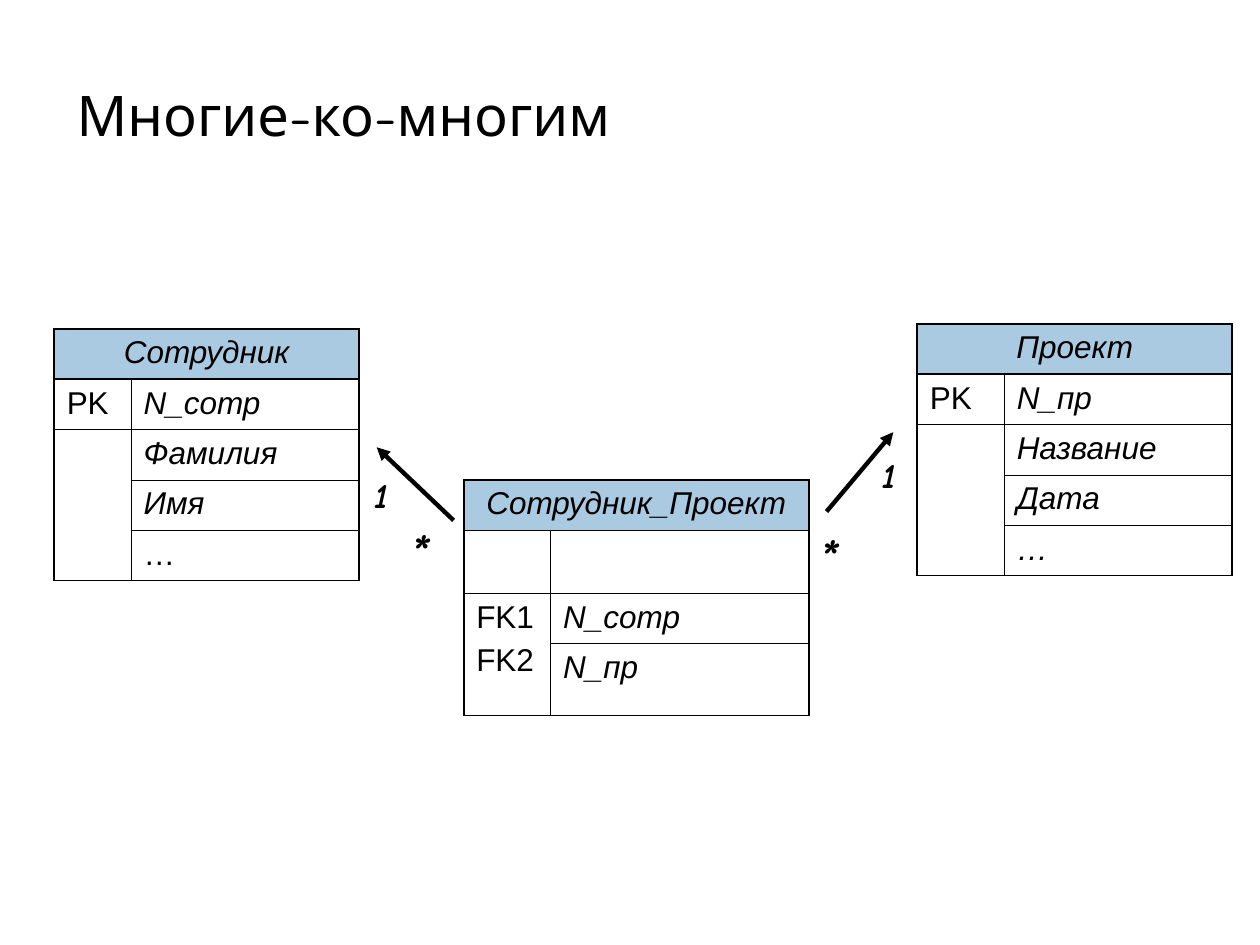
from lxml import etree
from pptx import Presentation
from pptx.dml.color import RGBColor
from pptx.enum.shapes import MSO_CONNECTOR
from pptx.enum.text import MSO_ANCHOR, MSO_AUTO_SIZE, PP_ALIGN
from pptx.oxml.ns import qn
from pptx.util import Inches, Pt

CENTER, LEFT = PP_ALIGN.CENTER, PP_ALIGN.LEFT
MIDDLE, TOP = MSO_ANCHOR.MIDDLE, MSO_ANCHOR.TOP
STRAIGHT = MSO_CONNECTOR.STRAIGHT
FIT_SHAPE, FIT_NONE = MSO_AUTO_SIZE.SHAPE_TO_FIT_TEXT, MSO_AUTO_SIZE.NONE

BLACK, HEADER_BLUE = "000000", "AACAE2"
TABLE_FONT, LABEL_FONT = "Arial", "Comic Neue"
THIN, THICK = 0.45, 1.08
ROW = 0.4

TITLE = ("Многие-ко-многим", (0.51, 0.28, 6.16, 1.25))

ENTITIES = [
    {
        "name": "Сотрудник", "at": (0.43, 2.61),
        "columns": (0.61, 1.81), "rows": [ROW] * 5, "key_start": 2,
        "keys": {1: ["PK"]},
        "fields": [("N_сотр", True), ("Фамилия", True), ("Имя", True), ("…", False)],
    },
    {
        "name": "Проект", "at": (7.28, 2.57),
        "columns": (0.69, 1.81), "rows": [ROW] * 5, "key_start": 2,
        "keys": {1: ["PK"]},
        "fields": [("N_пр", True), ("Название", True), ("Дата", True), ("…", True)],
    },
    {
        "name": "Сотрудник_Проект", "at": (3.68, 3.81),
        "columns": (0.69, 2.05), "rows": [ROW, 0.5, ROW, 0.57], "key_start": 2,
        "keys": {2: ["FK1", "FK2"]},
        "fields": [("", False), ("N_сотр", True), ("N_пр", True)],
    },
]

ARROWS = [((6.56, 4.06), (7.09, 3.43)), ((3.6, 4.13), (2.99, 3.55))]

MULTIPLICITIES = [
    ("*", 28, (6.2, 4.13, 0.76, 0.57)),
    ("1", 20, (6.9, 3.55, 0.31, 0.44)),
    ("*", 28, (3.07, 4.09, 0.53, 0.57)),
    ("1", 20, (2.87, 3.71, 0.31, 0.44)),
]


def color(value):
    return RGBColor.from_string(value)


def add_run(paragraph, text, size, font, bold=False, italic=False):
    run = paragraph.add_run()
    run.text = text
    run.font.size = Pt(size)
    run.font.name = font
    run.font.bold = bold
    run.font.italic = italic
    run.font.color.rgb = color(BLACK)


def fill_cell(cell, lines, italic, align=LEFT):
    frame = cell.text_frame
    for index, line in enumerate(lines):
        paragraph = frame.add_paragraph() if index else frame.paragraphs[0]
        paragraph.alignment = align
        if index:
            paragraph.space_before = Pt(4.5)
        if line:
            add_run(paragraph, line, 18, TABLE_FONT, italic=italic)
        else:
            paragraph.font.size = Pt(18)


def set_borders(cell, left, right, top, bottom):
    properties = cell._tc.get_or_add_tcPr()
    for side, width in (("L", left), ("R", right), ("T", top), ("B", bottom)):
        line = etree.SubElement(properties, qn("a:ln" + side), w=str(Pt(width)))
        fill = etree.SubElement(line, qn("a:solidFill"))
        etree.SubElement(fill, qn("a:srgbClr"), val=BLACK)


def add_entity(slide, entity):
    columns, rows = entity["columns"], entity["rows"]
    left, top = entity["at"]
    frame = slide.shapes.add_table(
        len(rows), len(columns), Inches(left), Inches(top),
        Inches(sum(columns)), Inches(sum(rows)))
    table = frame.table
    table.first_row = table.horz_banding = False
    for column, width in zip(table.columns, columns):
        column.width = Inches(width)
    for row, height in zip(table.rows, rows):
        row.height = Inches(height)

    for row in range(len(rows)):
        for column in range(len(columns)):
            cell = table.cell(row, column)
            if row == 0:
                set_borders(cell, THICK, THICK, THICK, THICK)
                cell.fill.solid()
                cell.fill.fore_color.rgb = color(HEADER_BLUE)
            else:
                above = THICK if row == 1 else THIN
                sides = (THIN, THICK) if column else (THICK, THIN)
                set_borders(cell, *sides, above, THIN)
                cell.fill.background()

    table.cell(0, 0).merge(table.cell(0, 1))
    table.cell(entity["key_start"], 0).merge(table.cell(len(rows) - 1, 0))
    fill_cell(table.cell(0, 0), [entity["name"]], True, CENTER)
    for row, (field, italic) in enumerate(entity["fields"], 1):
        fill_cell(table.cell(row, 1), [field], italic)
        if row <= entity["key_start"]:
            fill_cell(table.cell(row, 0), entity["keys"].get(row, [""]), False)


def add_arrow(slide, start, end):
    arrow = slide.shapes.add_connector(STRAIGHT, *map(Inches, start + end))
    arrow.line.color.rgb = color(BLACK)
    arrow.line.width = Pt(2.5)
    etree.SubElement(arrow.line._get_or_add_ln(), qn("a:tailEnd"), type="triangle")
    etree.SubElement(arrow._element.spPr, qn("a:effectLst"))


def add_label(slide, text, size, box, align=CENTER, anchor=TOP,
              wrap=True, fit=FIT_SHAPE, emphasis=True):
    frame = slide.shapes.add_textbox(*map(Inches, box)).text_frame
    frame.word_wrap = wrap
    frame.auto_size = fit
    frame.vertical_anchor = anchor
    paragraph = frame.paragraphs[0]
    paragraph.alignment = align
    add_run(paragraph, text, size, LABEL_FONT, emphasis, emphasis)


def main():
    presentation = Presentation()
    presentation.slide_width, presentation.slide_height = Inches(10), Inches(7.5)
    slide = presentation.slides.add_slide(presentation.slide_layouts[6])
    for entity in ENTITIES:
        add_entity(slide, entity)
    for start, end in ARROWS:
        add_arrow(slide, start, end)
    for text, size, box in MULTIPLICITIES:
        add_label(slide, text, size, box, wrap=text == "*")
    text, box = TITLE
    add_label(slide, text, 32, box, LEFT, MIDDLE, fit=FIT_NONE, emphasis=False)
    presentation.save("out.pptx")


if __name__ == "__main__":
    main()
